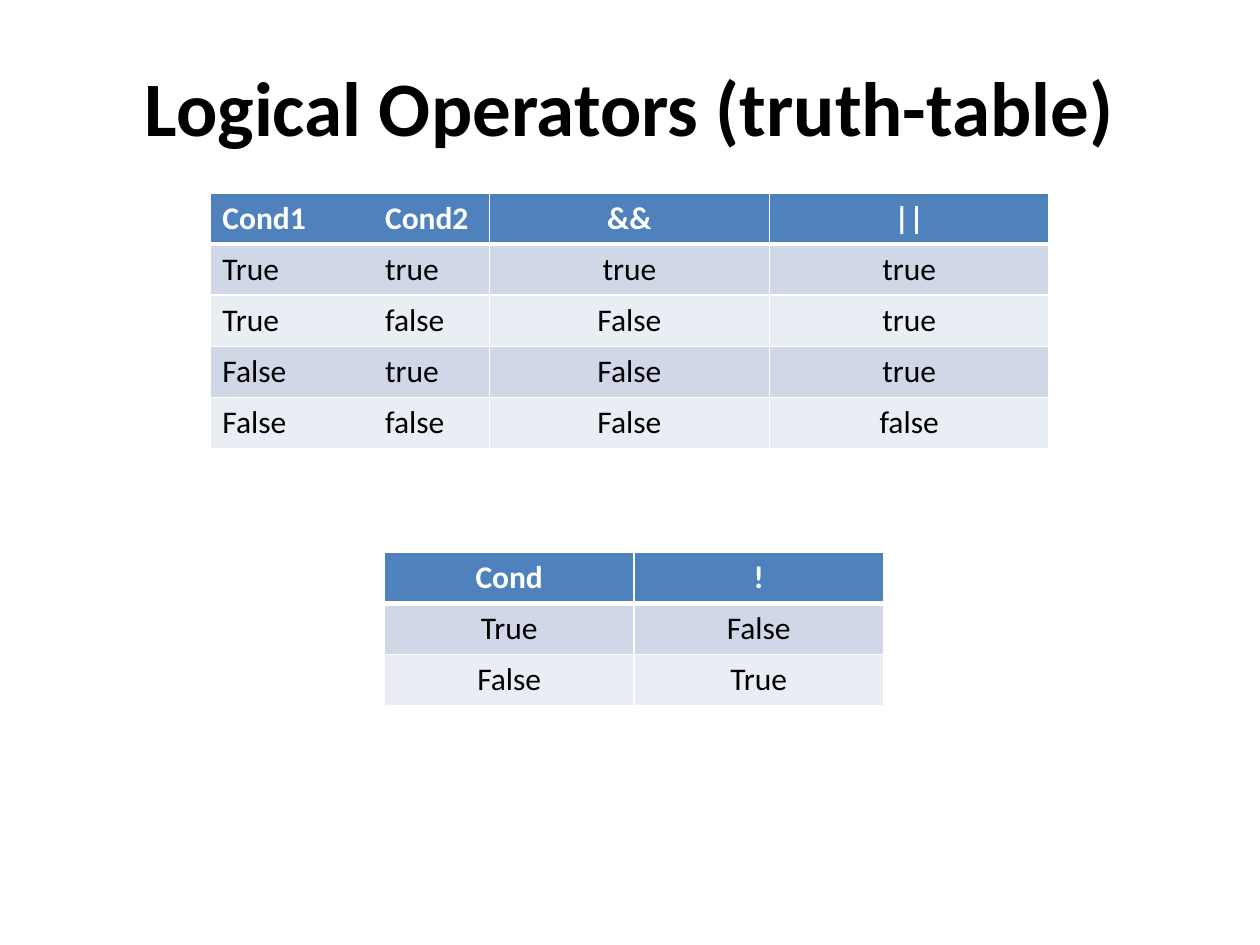
from dataclasses import dataclass

from lxml.etree import SubElement as Sub, Element as Elem
from pptx import Presentation as Deck
from pptx.dml.color import RGBColor as Rgb
from pptx.enum.text import MSO_ANCHOR as Anchor, PP_ALIGN as Align
from pptx.oxml.ns import qn
from pptx.util import Cm, Pt


@dataclass(frozen=True)
class Theme:
    font: str = "Calibri"
    big: int = 44
    body: int = 18
    ink: str = "000000"
    paper: str = "FFFFFF"
    head: str = "4F81BD"
    bands: tuple = ("D0D8E8", "E9EDF4")
    thin: int = 1
    thick: int = 3
    row: float = 1.03
    tab: float = 3.28


class Page:
    """Holds the theme and the slide being filled."""

    def __init__(self, deck, theme):
        self.theme = theme
        self.slide = deck.slides.add_slide(deck.slide_layouts[5])

    def style(self, para, size, color, bold, align):
        para.alignment = align
        font = para.font
        font.name, font.size, font.bold = self.theme.font, Pt(size), bold
        font.color.rgb = Rgb.from_string(color)

    def title(self, text, left, top, width, height):
        box = self.slide.shapes.title
        box.left, box.top = Cm(left), Cm(top)
        box.width, box.height = Cm(width), Cm(height)
        frame = box.text_frame
        frame.text = text
        frame.word_wrap = True
        frame.vertical_anchor = Anchor.MIDDLE
        self.style(frame.paragraphs[0], self.theme.big, self.theme.ink,
                   True, Align.CENTER)

    def stop(self, para):
        """Add a left tab stop, which must come before the font settings."""
        tabs = Elem(qn("a:tabLst"))
        Sub(tabs, qn("a:tab"), pos=str(Cm(self.theme.tab)), algn="l")
        para._p.get_or_add_pPr().insert(0, tabs)

    def edge(self, cell, side, width):
        props = cell._tc.get_or_add_tcPr()
        line = Sub(props, qn(f"a:ln{side}"), w=str(Pt(width)))
        fill = Sub(line, qn("a:solidFill"))
        Sub(fill, qn("a:srgbClr"), val=self.theme.paper)

    def cell(self, cell, text, row):
        """Fill one cell; the rule under the header row is thick."""
        look = self.theme
        head = row == 0
        for side in "LRTB":
            heavy = (side, row) in (("B", 0), ("T", 1))
            self.edge(cell, side, look.thick if heavy else look.thin)
        cell.fill.solid()
        color = look.head if head else look.bands[(row - 1) % 2]
        cell.fill.fore_color.rgb = Rgb.from_string(color)
        cell.text = text
        para = cell.text_frame.paragraphs[0]
        pair = "\t" in text
        self.style(para, look.body, look.paper if head else look.ink,
                   head, Align.LEFT if pair else Align.CENTER)
        if pair:
            self.stop(para)

    def table(self, rows, left, top, col):
        count, cols = len(rows), len(rows[0])
        grid = self.slide.shapes.add_table(
            count, cols, Cm(left), Cm(top),
            Cm(col * cols), Cm(self.theme.row * count)).table
        for r, texts in enumerate(rows):
            for c, text in enumerate(texts):
                self.cell(grid.cell(r, c), text, r)


PAIRS = [
    ("Cond1\tCond2", "&&", "||"),
    ("True\ttrue", "true", "true"),
    ("True\tfalse", "False", "true"),
    ("False\ttrue", "False", "true"),
    ("False\tfalse", "False", "false"),
]
NOT = [("Cond", "!"), ("True", "False"), ("False", "True")]


def main():
    deck = Deck()
    deck.slide_width, deck.slide_height = Cm(25.4), Cm(19.05)
    page = Page(deck, Theme())
    page.title("Logical Operators (truth-table)", 1.9, 0.08, 21.6, 4.09)
    page.table(PAIRS, 4.23, 3.89, 5.64)
    page.table(NOT, 7.75, 11.13, 5.03)
    deck.save("out.pptx")


if __name__ == "__main__":
    main()
